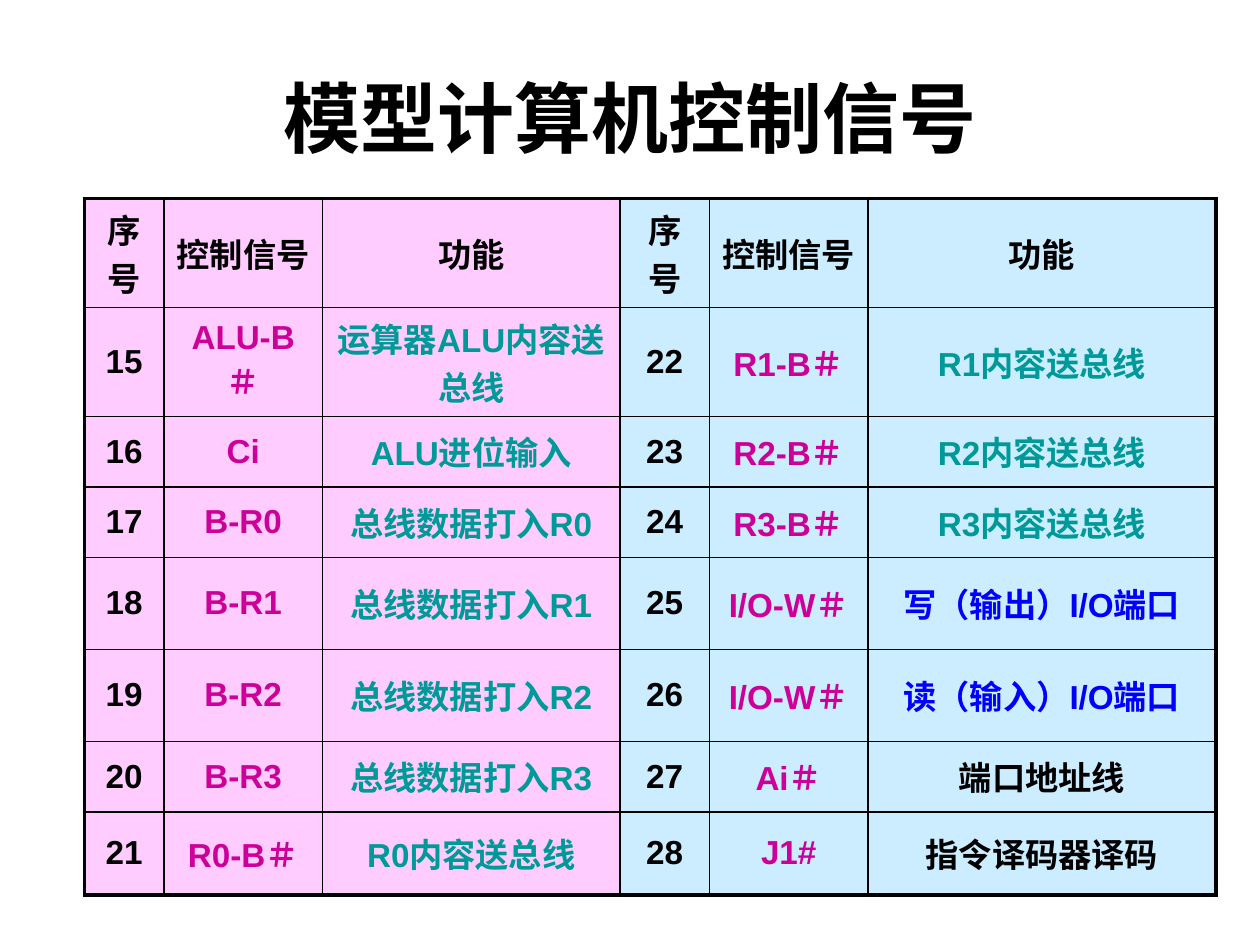
import pptx
import pptx.util
import pptx.dml.color
import pptx.enum.text
import pptx.oxml

theme = {
    "font": "Arial", "title": 44, "cell": 19, "thin": 1, "thick": 2.25,
    "black": "000000", "magenta": "CC0099", "teal": "009999", "blue": "0000FF",
    "pink": "FFCCFF", "sky": "CCECFF",
}
center = pptx.enum.text.PP_ALIGN.CENTER
middle = pptx.enum.text.MSO_ANCHOR.MIDDLE


def format_text(tf, size, color):
    p = tf.paragraphs[0]
    p.alignment = center
    for r in p.runs:
        r.font.name = theme["font"]
        r.font.size = pptx.util.Pt(size)
        r.font.bold = True
        r.font.color.rgb = pptx.dml.color.RGBColor.from_string(theme[color])


def add_border(cell, side, width):
    ns = "http://schemas.openxmlformats.org/drawingml/2006/main"
    cell._tc.get_or_add_tcPr().append(pptx.oxml.parse_xml(
        f'<a:ln{side} xmlns:a="{ns}" w="{pptx.util.Pt(width)}"><a:solidFill>'
        f'<a:srgbClr val="{theme["black"]}"/></a:solidFill></a:ln{side}>'))


prs = pptx.Presentation()
prs.slide_width = pptx.util.Inches(10)
prs.slide_height = pptx.util.Inches(7.5)
W, H = prs.slide_width, prs.slide_height
s = prs.slides.add_slide(prs.slide_layouts[5])

# Title
title = s.shapes.title
title.left, title.top = int(W * 0.05), int(H * 0.04)
title.width, title.height = int(W * 0.9), int(H / 6)
title.text_frame.text = "模型计算机控制信号"
title.text_frame.vertical_anchor = middle
format_text(title.text_frame, theme["title"], "black")

# Signals: name, function, colour of the function; numbered from 15 down each half
header = ["序号", "控制信号", "功能"]
first_number = 15
signals = [
    ("ALU-B＃", "运算器ALU内容送总线", "teal"),
    ("Ci", "ALU进位输入", "teal"),
    ("B-R0", "总线数据打入R0", "teal"),
    ("B-R1", "总线数据打入R1", "teal"),
    ("B-R2", "总线数据打入R2", "teal"),
    ("B-R3", "总线数据打入R3", "teal"),
    ("R0-B＃", "R0内容送总线", "teal"),
    ("R1-B＃", "R1内容送总线", "teal"),
    ("R2-B＃", "R2内容送总线", "teal"),
    ("R3-B＃", "R3内容送总线", "teal"),
    ("I/O-W＃", "写（输出）I/O端口", "blue"),
    ("I/O-W＃", "读（输入）I/O端口", "blue"),
    ("Ai＃", "端口地址线", "black"),
    ("J1#", "指令译码器译码", "black"),
]

# Table grid
col_widths = [0.63, 1.26, 2.36, 0.71, 1.26, 2.76]
row_heights = [0.74, 0.74, 0.56, 0.56, 0.73, 0.73, 0.56, 0.66]
n_rows, n_cols = len(row_heights), len(col_widths)
table = s.shapes.add_table(
    n_rows, n_cols, int(W * 0.067), int(H * 0.21),
    pptx.util.Inches(sum(col_widths)), pptx.util.Inches(sum(row_heights))).table
table.first_row = table.horz_banding = False
for column, width in zip(table.columns, col_widths):
    column.width = pptx.util.Inches(width)
for row, height in zip(table.rows, row_heights):
    row.height = pptx.util.Inches(height)

# Cells: the left half is pink, the right half sky blue
for i in range(n_rows):
    for j in range(n_cols):
        half, field = divmod(j, len(header))
        if i == 0:
            text, color = header[field], "black"
        else:
            index = half * (n_rows - 1) + i - 1
            name, function, function_color = signals[index]
            text = [str(first_number + index), name, function][field]
            color = ["black", "magenta", function_color][field]
        cell = table.cell(i, j)
        outer = {"L": j == 0, "R": j == n_cols - 1,
                 "T": i == 0, "B": i == n_rows - 1}
        for side, is_outer in outer.items():
            add_border(cell, side, theme["thick" if is_outer else "thin"])
        cell.fill.solid()
        cell.fill.fore_color.rgb = pptx.dml.color.RGBColor.from_string(
            theme[["pink", "sky"][half]])
        cell.vertical_anchor = middle
        cell.text_frame.text = text
        format_text(cell.text_frame, theme["cell"], color)

prs.save("out.pptx")
